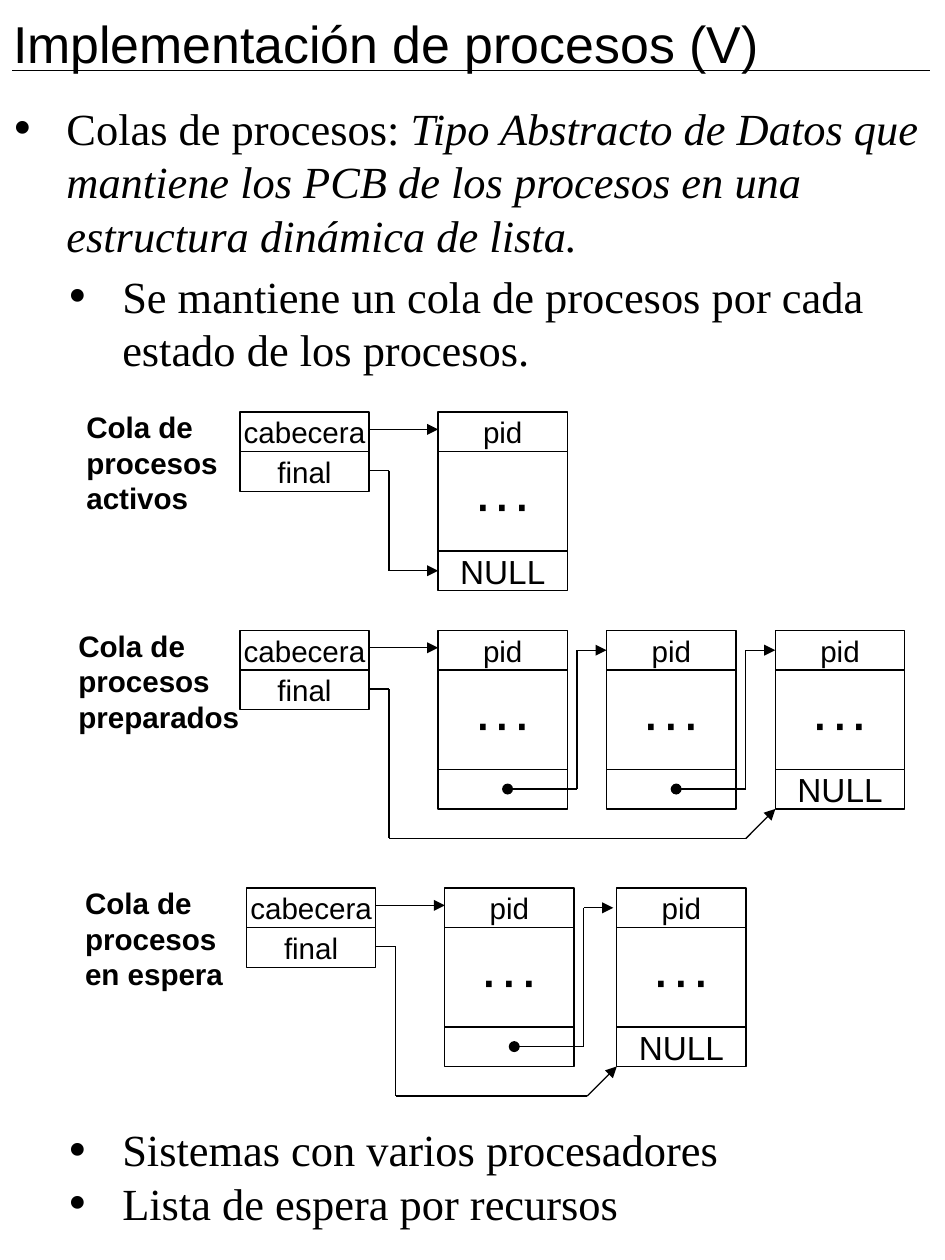
from itertools import pairwise
from pptx import Presentation
from pptx.util import Pt
from pptx.dml.color import RGBColor as RGB
from pptx.enum.shapes import MSO_SHAPE as SHAPE, MSO_CONNECTOR as CONN
from pptx.enum.text import PP_ALIGN as ALIGN, MSO_ANCHOR as ANCHOR, MSO_AUTO_SIZE as FIT
from pptx.oxml.ns import qn
from lxml.etree import SubElement as sub

HUES = {"ink": "000000", "paper": "FFFFFF"}
SANS, SERIF = "Arial", "Times New Roman"


def hue(name):
    return RGB.from_string(HUES[name])


def write(frame, *paras, size=16, font=SANS, bold=False, align=ALIGN.LEFT, bullet=False):
    """Each paragraph is a list of (text, italic) runs."""
    for i, runs in enumerate(paras):
        para = frame.paragraphs[0] if i == 0 else frame.add_paragraph()
        para.alignment = align
        para.line_spacing = Pt(1.2 * size)
        if bullet:
            props = para._p.get_or_add_pPr()
            props.set("marL", str(Pt(28.8)))
            props.set("indent", str(Pt(-28.8)))
            tint = sub(props, qn("a:buClr"))
            sub(tint, qn("a:srgbClr"), val=HUES["ink"])
            sub(props, qn("a:buSzPct"), val="120000")
            sub(props, qn("a:buFont"), typeface=SERIF)
            sub(props, qn("a:buChar"), char="•")
        for text, slant in runs:
            run = para.add_run()
            run.text = text
            face = run.font
            face.name, face.size = font, Pt(size)
            face.bold, face.italic = bold, slant
            face.color.rgb = hue("ink")


class Page:
    wide = 0.74

    def __init__(self, slide):
        self.slide = slide

    def text(self, x, y, w, h, *paras, **style):
        box = self.slide.shapes.add_textbox(Pt(x), Pt(y), Pt(w), Pt(h))
        frame = box.text_frame
        frame.word_wrap = True
        frame.auto_size = FIT.SHAPE_TO_FIT_TEXT
        write(frame, *paras, **style)

    def cell(self, x, y, w, h, label="", size=16):
        box = self.slide.shapes.add_shape(SHAPE.RECTANGLE, Pt(x), Pt(y), Pt(w), Pt(h))
        box.shadow.inherit = False
        box.fill.solid()
        box.fill.fore_color.rgb = hue("paper")
        box.line.color.rgb = hue("ink")
        box.line.width = Pt(self.wide)
        if label:
            frame = box.text_frame
            frame.word_wrap = False
            frame.vertical_anchor = ANCHOR.MIDDLE
            write(frame, [(label, False)], size=size, align=ALIGN.CENTER)

    def line(self, start, end, head=None, tail=None):
        wire = self.slide.shapes.add_connector(CONN.STRAIGHT, *map(Pt, start + end))
        wire.line.color.rgb = hue("ink")
        wire.line.width = Pt(self.wide)
        edge = wire.line._get_or_add_ln()
        for tag, kind in (("a:headEnd", head), ("a:tailEnd", tail)):
            if kind:
                sub(edge, qn(tag), type=kind)
        sub(wire._element.spPr, qn("a:effectLst"))

    def route(self, *spots, head=None):
        """Chain of lines that ends in an arrow."""
        last = len(spots) - 2
        for i, (start, end) in enumerate(pairwise(spots)):
            self.line(start, end, head if i == 0 else None, "triangle" if i == last else None)


# Sizes of the queue parts
WIDE, ROW, BODY = 69.8, 21.4, 53.6
TALL = 2 * ROW + BODY
FIRST = 107.1   # from the queue header to its first node


def node(page, x, top, end):
    page.cell(x, top, WIDE, ROW, "pid")
    page.cell(x, top + ROW, WIDE, BODY, "···", 32)
    page.cell(x, top + ROW + BODY, WIDE, ROW, "NULL" if end else "", 18)


def queue(page, name, x, top, count, step, left, span):
    page.text(left, top - 5.1, span, 64.8, [(name, False)], bold=True)
    for i, label in enumerate(("cabecera", "final")):
        page.cell(x, top + i * ROW, WIDE, ROW, label)

    nodes = [x + FIRST + i * step for i in range(count)]
    for spot in nodes:
        node(page, spot, top, spot == nodes[-1])

    # Links from each node to the next
    low, high = top + TALL - ROW / 2, top + ROW / 2
    for spot in nodes[:-1]:
        bend = spot + 75
        page.route((spot + 37.5, low), (bend, low), (bend, high), (spot + 91, high), head="oval")

    # Pointers to the first and the last node
    side, bend = x + WIDE, x + WIDE + 10.8
    page.route((side, top + 9.4), (nodes[0], top + 9.4))
    if count == 1:
        way = [(bend, low), (nodes[0], low)]
    else:
        base, gap = top + TALL, 16
        way = [(bend, base + gap), (nodes[-1] - gap, base + gap), (nodes[-1], base)]
    page.route((side, top + 31.7), (bend, top + 31.7), *way)


deck = Presentation()
deck.slide_width, deck.slide_height = Pt(510.5), Pt(680.4)
page = Page(deck.slides.add_slide(deck.slide_layouts[6]))

# Title
page.text(0, 2.9, 510.5, 41, [("Implementación de procesos (V)", False)], size=28)
page.line((6.5, 38.2), (502.6, 38.2))

# Bullets
prose = dict(size=24, font=SERIF, bullet=True)
page.text(0, 51.1, 510.5, 93.6, [
    ("Colas de procesos: ", False),
    ("Tipo Abstracto de Datos que mantiene los PCB de los procesos "
     "en una estructura dinámica de lista.", True)], **prose)
page.text(30.2, 141.8, 480.2, 64.8,
          [("Se mantiene un cola de procesos por cada estado de los procesos.", False)], **prose)
page.text(30.2, 602.6, 480.2, 64.8,
          [("Sistemas con varios procesadores", False)],
          [("Lista de espera por recursos", False)], **prose)

# Queues: name, left, top, nodes, step, label left, label width
for row in (
    ("Cola de procesos activos", 129.6, 222.5, 1, 0, 39.6, 91.4),
    ("Cola de procesos preparados", 129.6, 340.4, 3, 91.1, 35.3, 110.2),
    ("Cola de procesos en espera", 133.2, 479.5, 2, 92.9, 38.9, 90.7),
):
    queue(page, *row)

deck.save("out.pptx")
